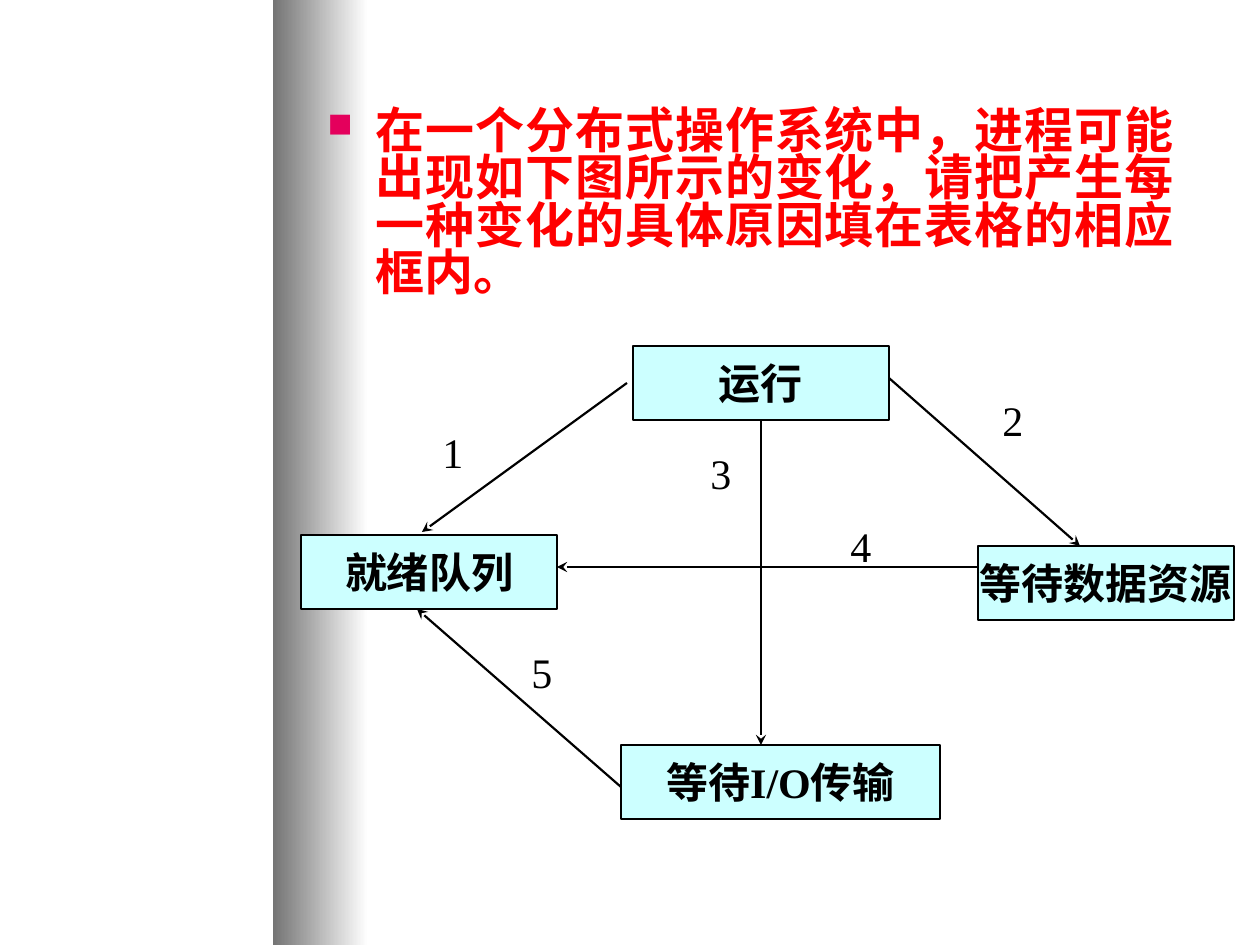
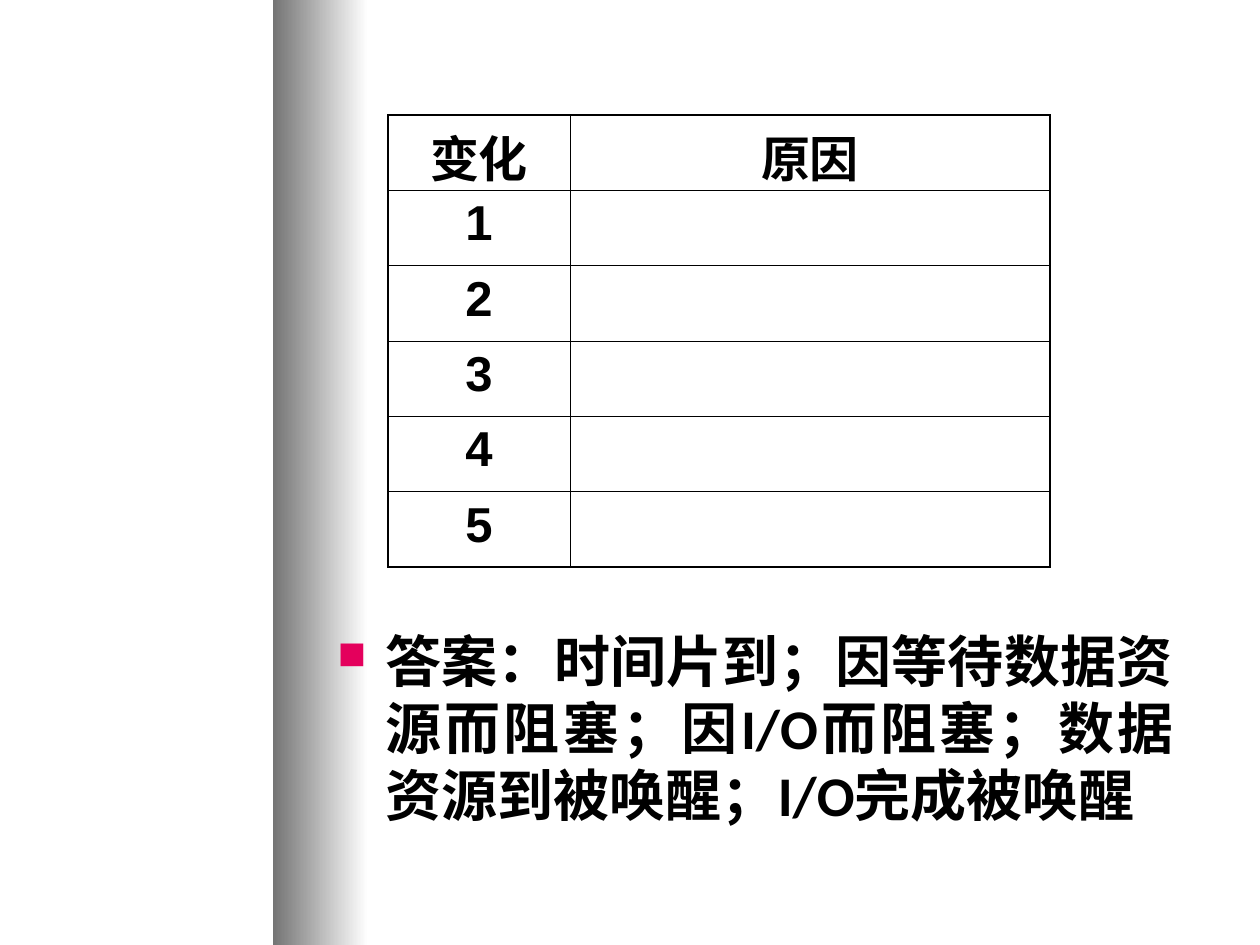
from lxml import etree
from pptx import Presentation
from pptx import util as u
from pptx.dml.color import RGBColor
from pptx.enum import shapes, text
from pptx.oxml.ns import qn

EMU_PER_PX = u.Inches(1) / 126
PAGE_WIDTH, PAGE_HEIGHT = 1260, 945

BLACK = RGBColor(0x00, 0x00, 0x00)
WHITE = RGBColor(0xFF, 0xFF, 0xFF)
RED = RGBColor(0xFF, 0x00, 0x00)
PINK = RGBColor(0xE4, 0x00, 0x5C)
GREY = RGBColor(0x74, 0x74, 0x74)
PALE_CYAN = RGBColor(0xCC, 0xFF, 0xFF)

SERIF, SANS, BODY = "Times New Roman", "Arial", "Calibri"
ALIGN = text.PP_ALIGN
THIN, THICK = 0.45, 1.08

QUESTION = ("在一个分布式操作系统中，进程可能出现如下图所示的变化，"
            "请把产生每一种变化的具体原因填在表格的相应框内。")
ANSWER = ("答案：时间片到；因等待数据资源而阻塞；因I/O而阻塞；"
          "数据资源到被唤醒；I/O完成被唤醒")

# Places inside the state diagram: left, top, width, height
STATES = {
    "运行": (332, 0, 256, 74),
    "就绪队列": (0, 189, 256, 74),
    "等待数据资源": (677, 200, 256, 74),
    "等待I/O传输": (320, 399, 319, 74),
}
# Change number: (arrow start, arrow end, label place)
CHANGES = {
    "1": ((326, 37), (121, 186), (129, 74, 77, 63)),
    "2": ((588, 32), (779, 200), (689, 42, 77, 63)),
    "3": ((460, 74), (460, 399), (397, 95, 50, 63)),
    "4": ((677, 221), (256, 221), (537, 168, 77, 63)),
    "5": ((320, 441), (116, 263), (218, 294, 77, 63)),
}


def px(*lengths):
    return [u.Emu(round(length * EMU_PER_PX)) for length in lengths]


def add_xml(parent, tag, **attributes):
    return etree.SubElement(parent, qn(tag), attributes)


def write(frame, words, *, size, font, color=BLACK, bold=False,
          align=ALIGN.LEFT, before=0, spacing=None):
    """Fill the frame's first paragraph and return it."""
    para = frame.paragraphs[0]
    para.alignment = align
    para.space_before = u.Pt(before)
    if spacing:
        para.line_spacing = spacing
    span = para.add_run()
    span.text = words
    span.font.size = u.Pt(size)
    span.font.name = font
    span.font.bold = bold
    span.font.color.rgb = color
    return para


def add_text(page, place, words, **style):
    frame = page.shapes.add_textbox(*px(*place)).text_frame
    frame.word_wrap = True
    return write(frame, words, **style)


def add_bullet_text(page, place, words, **style):
    para = add_text(page, place, words, font=BODY, bold=True,
                    align=ALIGN.JUSTIFY, **style)
    properties = para._p.get_or_add_pPr()
    indent = u.Inches(0.38)
    properties.set("marL", str(indent))
    properties.set("indent", str(-indent))
    add_xml(add_xml(properties, "a:buClr"), "a:srgbClr", val=str(PINK))
    add_xml(properties, "a:buSzPct", val="70000")
    add_xml(properties, "a:buChar", char="■")


def add_band(page):
    band = page.shapes.add_shape(shapes.MSO_SHAPE.RECTANGLE,
                                 *px(273, 0, 95, PAGE_HEIGHT))
    band.shadow.inherit = False
    band.line.fill.background()
    band.fill.gradient()
    band.fill.gradient_angle = 0
    for stop, position, color in zip(band.fill.gradient_stops, (0, 1), (GREY, WHITE)):
        stop.position = position
        stop.color.rgb = color


def add_page(deck):
    page = deck.slides.add_slide(deck.slide_layouts[6])
    add_band(page)
    return page


def add_state(page, place, name):
    box = page.shapes.add_shape(shapes.MSO_SHAPE.RECTANGLE, *px(*place))
    box.shadow.inherit = False
    box.fill.solid()
    box.fill.fore_color.rgb = PALE_CYAN
    box.line.color.rgb = BLACK
    box.line.width = u.Pt(0.75)
    box.text_frame.word_wrap = False
    box.text_frame.vertical_anchor = text.MSO_ANCHOR.MIDDLE
    write(box.text_frame, name, size=24, font=SERIF, bold=True, align=ALIGN.CENTER)
    return box


def add_arrow(page, start, end):
    arrow = page.shapes.add_connector(shapes.MSO_CONNECTOR.STRAIGHT,
                                      *px(*start, *end))
    arrow.line.color.rgb = BLACK
    arrow.line.width = u.Pt(1.25)
    properties = arrow._element.spPr
    add_xml(properties.find(qn("a:ln")), "a:tailEnd", type="stealth")
    add_xml(properties, "a:effectLst")
    return arrow


def add_state_diagram(page, left, top):
    def shift(x, y, *size):
        return (left + x, top + y, *size)

    boxes = {name: add_state(page, shift(*place), name)
             for name, place in STATES.items()}
    arrows = {number: add_arrow(page, shift(*start), shift(*end))
              for number, (start, end, _) in CHANGES.items()}
    arrows["3"].begin_connect(boxes["运行"], 2)
    for number, (_, _, place) in CHANGES.items():
        add_text(page, shift(*place), number, size=24, font=SERIF, before=15)


def set_borders(cell, **widths):
    properties = cell._tc.get_or_add_tcPr()
    for side, width in widths.items():
        line = add_xml(properties, f"a:ln{side}", w=str(u.Pt(width)))
        add_xml(add_xml(line, "a:solidFill"), "a:srgbClr", val=str(BLACK))


def add_change_table(page, place):
    rows = [("变化", "原因")] + [(number, "") for number in CHANGES]
    table = page.shapes.add_table(len(rows), 2, *px(*place)).table
    table.first_row = table.horz_banding = False
    for column, width in zip(table.columns, px(182, place[2] - 182)):
        column.width = width
    for i, row in enumerate(rows):
        for j, words in enumerate(row):
            cell = table.cell(i, j)
            set_borders(cell,
                        L=THICK if j == 0 else THIN,
                        R=THICK if j == 1 else THIN,
                        T=THICK if i == 0 else THIN,
                        B=THICK if i == len(rows) - 1 else THIN)
            cell.fill.background()
            if words:
                write(cell.text_frame, words, size=28, font=SANS, bold=True,
                      align=ALIGN.CENTER, before=7)


def build_question_page(deck):
    page = add_page(deck)
    add_bullet_text(page, (315, 105, 872, 221), QUESTION,
                    size=28, color=RED, before=7, spacing=0.8)
    add_state_diagram(page, 301, 346)


def build_answer_page(deck):
    page = add_page(deck)
    add_bullet_text(page, (325, 620, 861, 262), ANSWER, size=32, before=8)
    add_change_table(page, (388, 115, 662, 452))


def main():
    deck = Presentation()
    deck.slide_width, deck.slide_height = px(PAGE_WIDTH, PAGE_HEIGHT)
    build_question_page(deck)
    build_answer_page(deck)
    deck.save("out.pptx")


if __name__ == "__main__":
    main()
